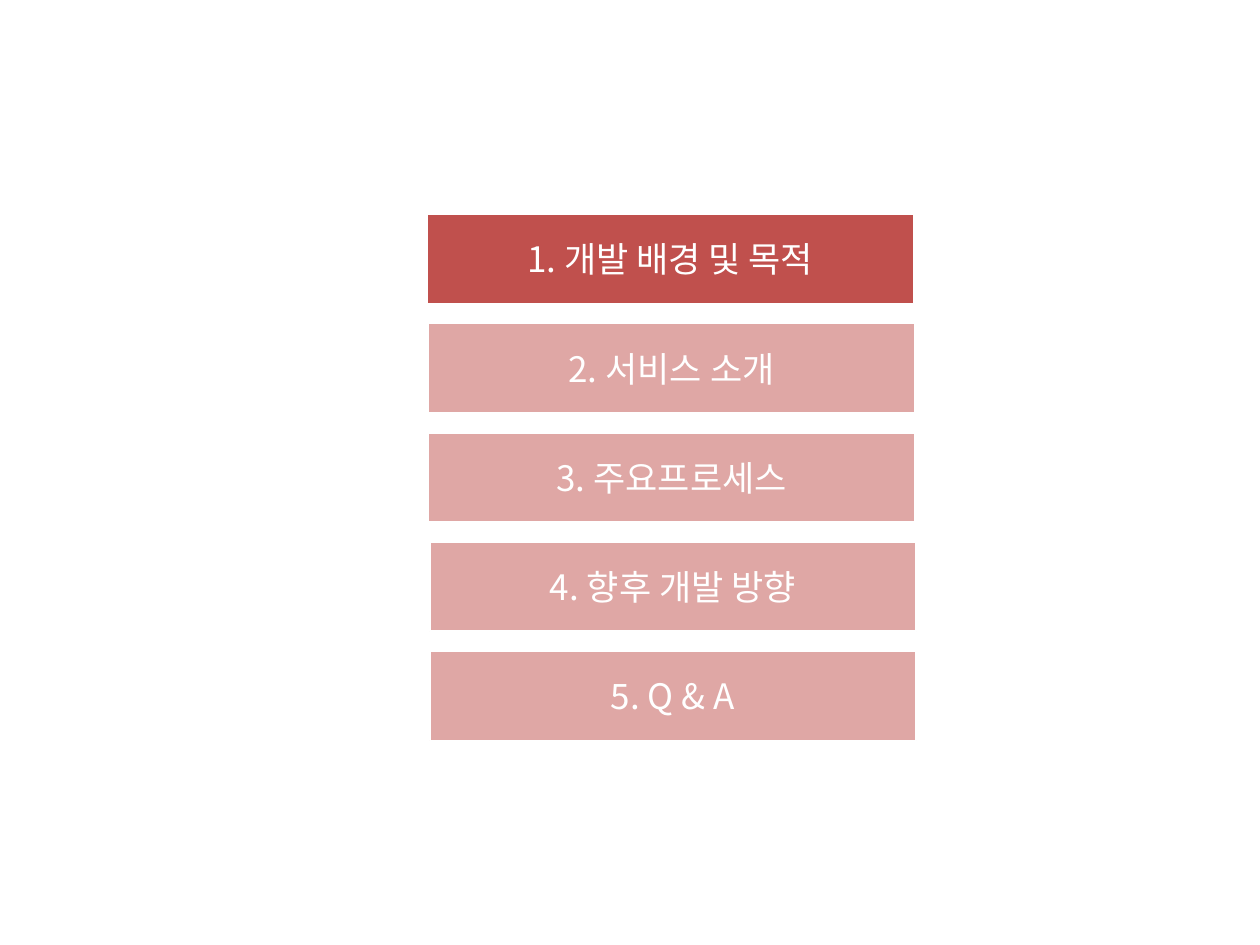
from lxml import etree
from pptx import Presentation
from pptx import util as u
from pptx.dml.color import RGBColor
from pptx.enum import shapes, text
from pptx.oxml import ns

COLOURS = {"red": "C0504D", "white": "FFFFFF"}
FONT = "Noto Sans CJK KR"
AGENDA = ["1. 개발 배경 및 목적", "2. 서비스 소개", "3. 주요프로세스",
          "4. 향후 개발 방향", "5. Q & A"]
CURRENT = 0

# Agenda column, in points; each pair of bars steps slightly to the right
LEFT, TOP, WIDTH, HEIGHT = 244, 122.4, 278, 51
PITCH, STEP = 62.45, 0.75


def colour(name):
    return RGBColor.from_string(COLOURS[name])


def make_translucent(box, percent):
    tint = box.fill._xPr.find(ns.qn("a:solidFill"))[0]
    etree.SubElement(tint, ns.qn("a:alpha"), val=str(percent * 1000))


def format_label(para):
    para.alignment = text.PP_ALIGN.CENTER
    para.font.size = u.Pt(20)
    para.font.color.rgb = colour("white")
    para.font.name = FONT
    # Korean letters take the East Asian typeface
    defaults = para._p.pPr.find(ns.qn("a:defRPr"))
    etree.SubElement(defaults, ns.qn("a:ea"), typeface=FONT)


def add_agenda_bar(page, index, label):
    left = LEFT + STEP * ((index + 1) // 2)
    box = page.shapes.add_shape(
        shapes.MSO_SHAPE.RECTANGLE, u.Pt(left), u.Pt(TOP + PITCH * index),
        u.Pt(WIDTH), u.Pt(HEIGHT))
    box.shadow.inherit = False
    box.fill.solid()
    box.fill.fore_color.rgb = colour("red")
    if index != CURRENT:
        make_translucent(box, 50)
    box.line.color.rgb = colour("white")
    box.line.width = u.Pt(1)

    frame = box.text_frame
    frame.word_wrap = True
    frame.vertical_anchor = text.MSO_ANCHOR.MIDDLE
    frame.text = label
    format_label(frame.paragraphs[0])


def main():
    deck = Presentation()
    deck.slide_width, deck.slide_height = u.Pt(720), u.Pt(540)
    page = deck.slides.add_slide(deck.slide_layouts[6])  # blank layout

    # Agenda, with the current section in full colour
    for index, label in enumerate(AGENDA):
        add_agenda_bar(page, index, label)

    deck.save("out.pptx")


if __name__ == "__main__":
    main()
